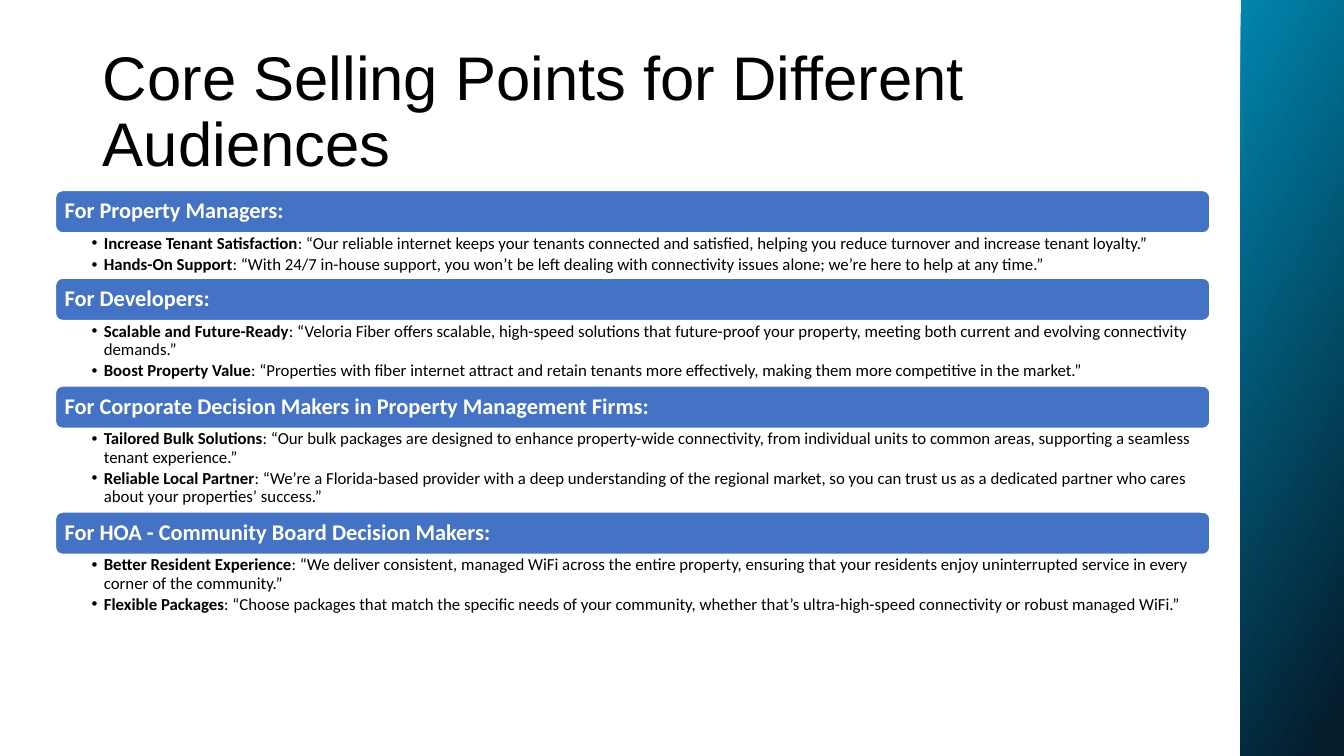
import pptx
import pptx.util
import pptx.dml.color
import pptx.enum.shapes
import pptx.enum.text
import lxml.etree
from pptx.util import Inches, Pt

RGBColor = pptx.dml.color.RGBColor
PP_ALIGN = pptx.enum.text.PP_ALIGN
ANCHOR = pptx.enum.text.MSO_ANCHOR
SHAPE = pptx.enum.shapes.MSO_SHAPE

TITLE = "Core Selling Points for Different Audiences"
AUDIENCES = [
    ("For Property Managers:", 0.45, [
        ("Increase Tenant Satisfaction", ": “Our reliable internet keeps your tenants connected and satisfied, helping you reduce turnover and increase tenant loyalty.”"),
        ("Hands-On Support", ": “With 24/7 in-house support, you won’t be left dealing with connectivity issues alone; we’re here to help at any time.”"),
    ]),
    ("For Developers:", 0.65, [
        ("Scalable and Future-Ready", ": “Veloria Fiber offers scalable, high-speed solutions that future-proof your property, meeting both current and evolving connectivity demands.”"),
        ("Boost Property Value", ": “Properties with fiber internet attract and retain tenants more effectively, making them more competitive in the market.”"),
    ]),
    ("For Corporate Decision Makers in Property Management Firms:", 0.83, [
        ("Tailored Bulk Solutions", ": “Our bulk packages are designed to enhance property-wide connectivity, from individual units to common areas, supporting a seamless tenant experience.”"),
        ("Reliable Local Partner", ": “We’re a Florida-based provider with a deep understanding of the regional market, so you can trust us as a dedicated partner who cares about your properties’ success.”"),
    ]),
    ("For HOA - Community Board Decision Makers:", 0.65, [
        ("Better Resident Experience", ": “We deliver consistent, managed WiFi across the entire property, ensuring that your residents enjoy uninterrupted service in every corner of the community.”"),
        ("Flexible Packages", ": “Choose packages that match the specific needs of your community, whether that’s ultra-high-speed connectivity or robust managed WiFi.”"),
    ]),
]

BLACK = RGBColor(0x00, 0x00, 0x00)
WHITE = RGBColor(0xFF, 0xFF, 0xFF)
BLUE = RGBColor(0x44, 0x72, 0xC4)
TEAL = RGBColor(0x00, 0x85, 0xAD)
NAVY = RGBColor(0x04, 0x1C, 0x2C)

LEFT, WIDTH, TOP, BAR_HEIGHT = 0.55, 11.45, 1.89, 0.42


def add_run(p, text, size=12, font="Calibri", color=BLACK, bold=False):
    r = p.add_run()
    r.text = text
    r.font.size = Pt(size)
    r.font.name = font
    r.font.color.rgb = color
    r.font.bold = bold


def place(sp, left, top, width, height):
    sp.left, sp.top = Inches(left), Inches(top)
    sp.width, sp.height = Inches(width), Inches(height)


def set_frame(tf, anchor, left, top, right, bottom):
    tf.word_wrap = True
    tf.auto_size = pptx.enum.text.MSO_AUTO_SIZE.NONE
    tf.vertical_anchor = anchor
    tf.margin_left, tf.margin_top = Inches(left), Inches(top)
    tf.margin_right, tf.margin_bottom = Inches(right), Inches(bottom)


def set_paragraph(p, after=0):
    p.alignment = PP_ALIGN.LEFT
    p.line_spacing = 0.9
    p.space_before = Pt(0)
    p.space_after = Pt(after)


def add_bullet(p):
    p.level = 1
    pPr = p._p.get_or_add_pPr()
    pPr.set("marL", str(Inches(0.12)))
    pPr.set("indent", str(-Inches(0.12)))
    bullet = lxml.etree.SubElement(pPr, pptx.oxml.ns.qn("a:buChar"))
    bullet.set("char", "•")


prs = pptx.Presentation()
prs.slide_width, prs.slide_height = Inches(13.33), Inches(7.5)
s = prs.slides.add_slide(prs.slide_layouts.get_by_name("Comparison"))

band = s.shapes.add_shape(SHAPE.RECTANGLE, Inches(9.07), Inches(3.23), Inches(7.5), Inches(1.03))
band.rotation = 270
band.shadow.inherit = False
band.line.fill.background()
band.fill.gradient()
band.fill.gradient_angle = 240
for stop, color, position in zip(band.fill.gradient_stops, (TEAL, NAVY), (0, 0.95)):
    stop.color.rgb = color
    stop.position = position

title = s.shapes.title
place(title, 0.92, 0.4, 11.5, 1.45)
set_frame(title.text_frame, ANCHOR.MIDDLE, 0.1, 0.05, 0.1, 0.05)
p = title.text_frame.paragraphs[0]
set_paragraph(p)
add_run(p, TITLE, size=44, font="Arial")

bodies = [ph for ph in s.placeholders if 1 <= ph.placeholder_format.idx <= 4]
top = TOP
for body, (heading, height, points) in zip(bodies, AUDIENCES):
    bar = s.shapes.add_shape(SHAPE.ROUNDED_RECTANGLE, 0, 0, 0, 0)
    place(bar, LEFT, top, WIDTH, BAR_HEIGHT)
    bar.shadow.inherit = False
    bar.fill.solid()
    bar.fill.fore_color.rgb = BLUE
    bar.line.color.rgb = WHITE
    bar.line.width = Pt(1)
    set_frame(bar.text_frame, ANCHOR.MIDDLE, 0.07, 0.07, 0.07, 0.07)
    p = bar.text_frame.paragraphs[0]
    set_paragraph(p)
    add_run(p, heading, size=16, color=WHITE, bold=True)

    top += BAR_HEIGHT
    place(body, LEFT, top, WIDTH, height)
    tf = body.text_frame
    set_frame(tf, ANCHOR.TOP, 0.36, 0.02, 0.12, 0.02)
    for i, (lead, quote) in enumerate(points):
        p = tf.add_paragraph() if i else tf.paragraphs[0]
        add_bullet(p)
        set_paragraph(p, after=2.4)
        add_run(p, lead, bold=True)
        add_run(p, quote)
    top += height

for ph in list(s.placeholders):
    if not ph.text_frame.text:
        ph.element.getparent().remove(ph.element)

prs.save("out.pptx")
